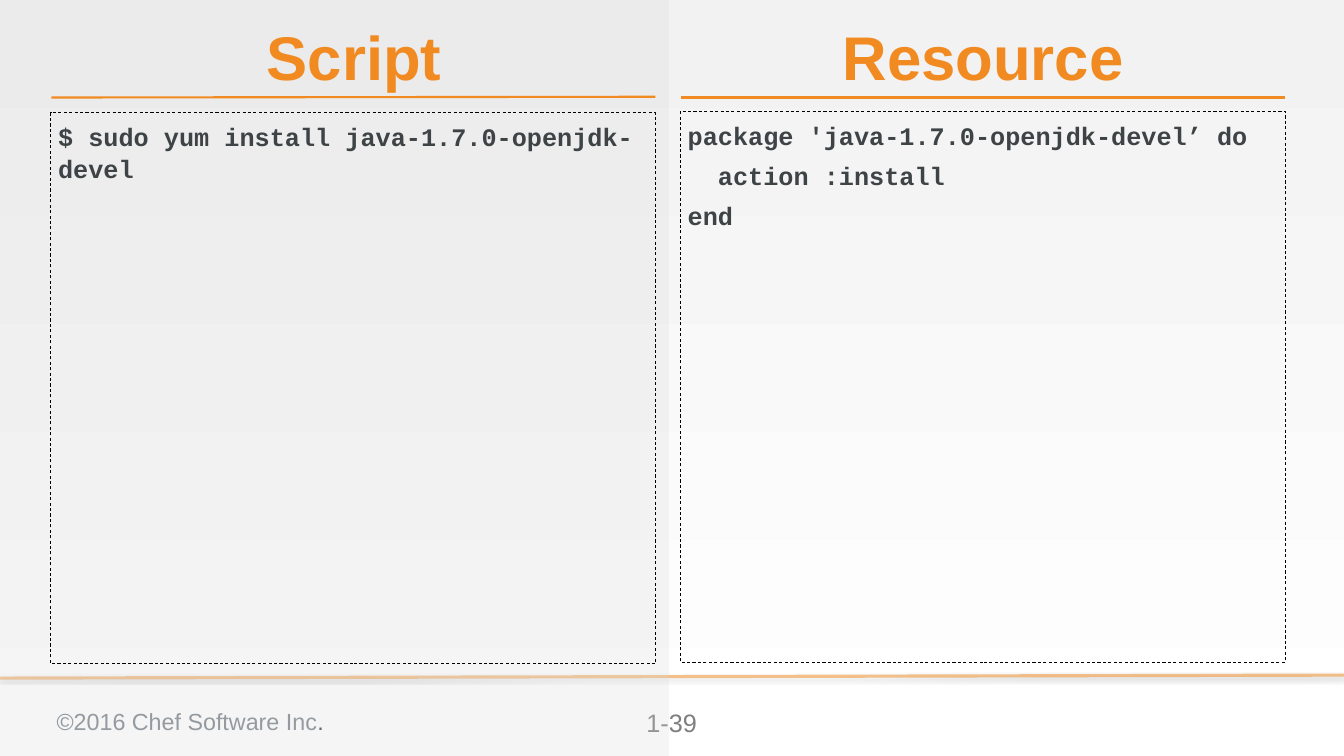
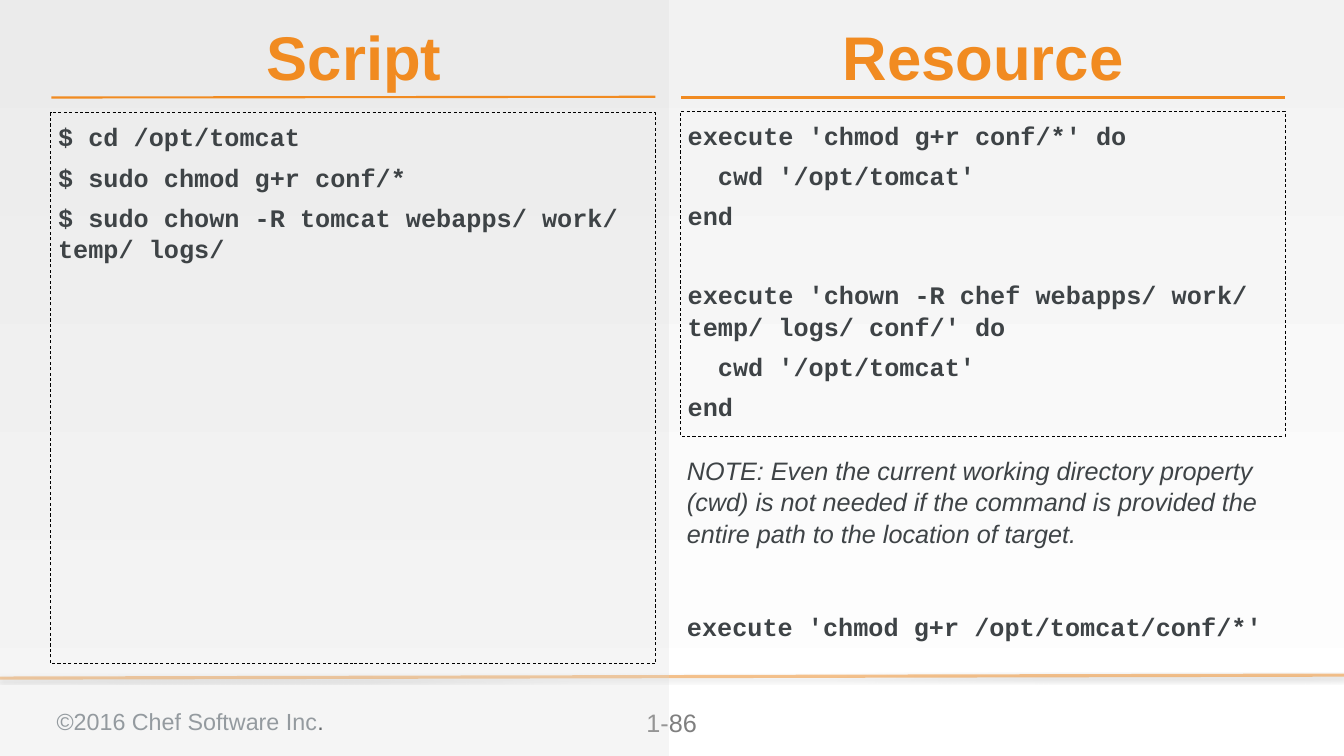
"""Build two slides that compare shell scripts with their resource equivalents."""
import dataclasses

import lxml.etree
import pptx
import pptx.dml.color
import pptx.enum.dml
import pptx.enum.shapes
import pptx.enum.text
import pptx.oxml
import pptx.oxml.ns
import pptx.util

Inches = pptx.util.Inches
Pt = pptx.util.Pt
qn = pptx.oxml.ns.qn
ALIGN = pptx.enum.text.PP_ALIGN
ANCHOR = pptx.enum.text.MSO_ANCHOR


@dataclasses.dataclass(frozen=True)
class Theme:
    """Colours, fonts and type sizes of the presentation."""

    accent: str = "F18B21"
    body: str = "3E4346"
    copyright: str = "7D868C"
    page: str = "7F7F7F"
    border: str = "000000"
    panel: str = "D9D9D9"
    background: tuple = ("F2F2F2", "FFFFFF")
    sans: str = "Arial"
    mono: str = "Courier New"
    title_size: float = 58.7
    body_size: float = 24
    copyright_size: float = 22.2
    line_spacing: float = 1.05
    code_gap: float = 8
    code_blank: float = 45
    note_gap: float = 58


def rgb(value):
    """Turn a hex string into a colour."""
    return pptx.dml.color.RGBColor.from_string(value)


def set_alpha(element, percent):
    """Set the opacity of the first colour in an element."""
    color = next(element.iter(qn("a:srgbClr")))
    lxml.etree.SubElement(color, qn("a:alpha"), val=str(percent * 1000))


class Deck:
    """Holds the style and the current slide, and draws elements on it."""

    def __init__(self, theme):
        """Create an empty wide presentation."""
        self.theme = theme
        self.presentation = pptx.Presentation()
        self.presentation.slide_width = Inches(17.78)
        self.presentation.slide_height = Inches(10)
        self.slide = None

    def add_slide(self, page):
        """Start a slide with its background, rules, headings and footer."""
        theme = self.theme
        self.slide = self.presentation.slides.add_slide(self.presentation.slide_layouts[5])
        fill = self.slide.background.fill
        fill.gradient()
        fill.gradient_angle = 270
        for stop, color in zip(fill.gradient_stops, theme.background):
            stop.color.rgb = rgb(color)
        self.line((17.78, 8.93), (0, 8.97), 3, opacity=50, shadow=True)
        footer = self.text((0.65, 9.25, 5.9, 0.52), ["©2016 Chef Software Inc"],
                           theme.copyright_size, theme.copyright)
        period = footer.text_frame.paragraphs[0].add_run()
        period.text = "."
        self.font(period.font, theme.copyright_size, theme.body)
        self.text((8.1, 9.25, 1.57, 0.57), [page], theme.body_size, theme.page, align=ALIGN.CENTER)
        self.panel((0, 0, 8.85, 10))
        self.line((0.68, 1.29), (8.67, 1.28), 2)
        self.line((9.01, 1.29), (17, 1.29), 2)
        title = self.slide.shapes.title
        title.element.getparent().append(title.element)
        self.heading(title, (0.65, 0.29, 8.07, 0.91), "Script")
        self.heading(self.slide.shapes.add_textbox(0, 0, 0, 0), (8.97, 0.28, 8.07, 0.91), "Resource")

    def font(self, font, size, color, name=None, bold=False, italic=False):
        """Format a font."""
        font.name = name or self.theme.sans
        font.size = Pt(size)
        font.bold = bold
        font.italic = italic
        font.color.rgb = rgb(color)

    def place(self, shape, box):
        """Move and size a shape."""
        shape.left, shape.top, shape.width, shape.height = map(Inches, box)

    def fill_text(self, shape, lines, size, color, align=ALIGN.LEFT, margins=(0.1, 0.1, 0.1, 0.1),
                  anchor=ANCHOR.TOP, **style):
        """Write and format the paragraphs of a shape."""
        frame = shape.text_frame
        frame.text = "\n".join(lines)
        frame.word_wrap = True
        frame.auto_size = pptx.enum.text.MSO_AUTO_SIZE.NONE
        frame.vertical_anchor = anchor
        frame.margin_left, frame.margin_top, frame.margin_right, frame.margin_bottom = map(Inches, margins)
        for paragraph in frame.paragraphs:
            paragraph.alignment = align
            for run in paragraph.runs:
                self.font(run.font, size, color, **style)

    def text(self, box, lines, size, color, **style):
        """Add a text box."""
        shape = self.slide.shapes.add_textbox(*map(Inches, box))
        self.fill_text(shape, lines, size, color, **style)
        return shape

    def heading(self, shape, box, text):
        """Format a shape as a column heading."""
        self.place(shape, box)
        self.fill_text(shape, [text], self.theme.title_size, self.theme.accent, align=ALIGN.CENTER,
                       margins=(0, 0, 0, 0), anchor=ANCHOR.MIDDLE, bold=True)

    def rectangle(self, box):
        """Add a rectangle without shadow."""
        shape = self.slide.shapes.add_shape(pptx.enum.shapes.MSO_SHAPE.RECTANGLE, *map(Inches, box))
        shape.shadow.inherit = False
        return shape

    def panel(self, box):
        """Add a translucent panel."""
        shape = self.rectangle(box)
        shape.fill.solid()
        shape.fill.fore_color.rgb = rgb(self.theme.panel)
        set_alpha(shape.element.spPr, 25)
        shape.line.fill.background()

    def code(self, box, *blocks):
        """Add a dashed box with blocks of code lines."""
        theme = self.theme
        shape = self.rectangle(box)
        shape.fill.background()
        shape.line.color.rgb = rgb(theme.border)
        shape.line.width = Pt(0.75)
        shape.line.dash_style = pptx.enum.dml.MSO_LINE.DASH
        self.fill_text(shape, [line for block in blocks for line in block], theme.body_size, theme.body,
                       margins=(0.1, 0.1, 0, 0), name=theme.mono, bold=True)
        gaps = [theme.code_gap if index else theme.code_blank for block in blocks for index in range(len(block))]
        gaps[0] = 0
        for paragraph, gap in zip(shape.text_frame.paragraphs, gaps):
            paragraph.space_before = Pt(gap)
            paragraph.line_spacing = theme.line_spacing

    def note(self, box, remark, command):
        """Add an italic remark followed by a command."""
        theme = self.theme
        shape = self.text(box, [remark, command], theme.body_size, theme.body, italic=True)
        for paragraph in shape.text_frame.paragraphs:
            paragraph.line_spacing = theme.line_spacing
        paragraph.space_before = Pt(theme.note_gap)
        self.font(paragraph.runs[0].font, theme.body_size, theme.body, name=theme.mono, bold=True)

    def line(self, start, end, width, opacity=None, shadow=False):
        """Add an accent line, optionally translucent and shadowed."""
        connector = self.slide.shapes.add_connector(
            pptx.enum.shapes.MSO_CONNECTOR.STRAIGHT, *map(Inches, start + end))
        connector.line.color.rgb = rgb(self.theme.accent)
        connector.line.width = Pt(width)
        properties = connector.element.spPr
        if opacity:
            set_alpha(properties, opacity)
        effects = lxml.etree.SubElement(properties, qn("a:effectLst"))
        if shadow:
            outer = lxml.etree.SubElement(effects, qn("a:outerShdw"), blurRad=str(Pt(3.1)),
                                          dist=str(Pt(1.8)), dir="5400000", rotWithShape="0")
            lxml.etree.SubElement(outer, qn("a:srgbClr"), val=self.theme.border)
            set_alpha(outer, 35)


def main():
    """Build and save the slides."""
    deck = Deck(Theme())
    script_box = (0.67, 1.49, 8, 7.29)

    deck.add_slide("1-39")
    deck.code(script_box, ["$ sudo yum install java-1.7.0-openjdk-devel"])
    deck.code((9, 1.47, 8, 7.29), ["package 'java-1.7.0-openjdk-devel’ do", "  action :install", "end"])

    deck.add_slide("1-86")
    deck.code(script_box, ["$ cd /opt/tomcat", "$ sudo chmod g+r conf/*",
                           "$ sudo chown -R tomcat webapps/ work/ temp/ logs/"])
    deck.code((9, 1.47, 8, 4.3),
              ["execute 'chmod g+r conf/*' do", "  cwd '/opt/tomcat'", "end"],
              ["execute 'chown -R chef webapps/ work/ temp/ logs/ conf/' do", "  cwd '/opt/tomcat'", "end"])
    deck.note((8.99, 5.9, 8, 2.87),
              "NOTE: Even the current working directory property (cwd) is not needed if the command "
              "is provided the entire path to the location of target.",
              "execute 'chmod g+r /opt/tomcat/conf/*'")

    deck.presentation.save("out.pptx")


if __name__ == "__main__":
    main()
